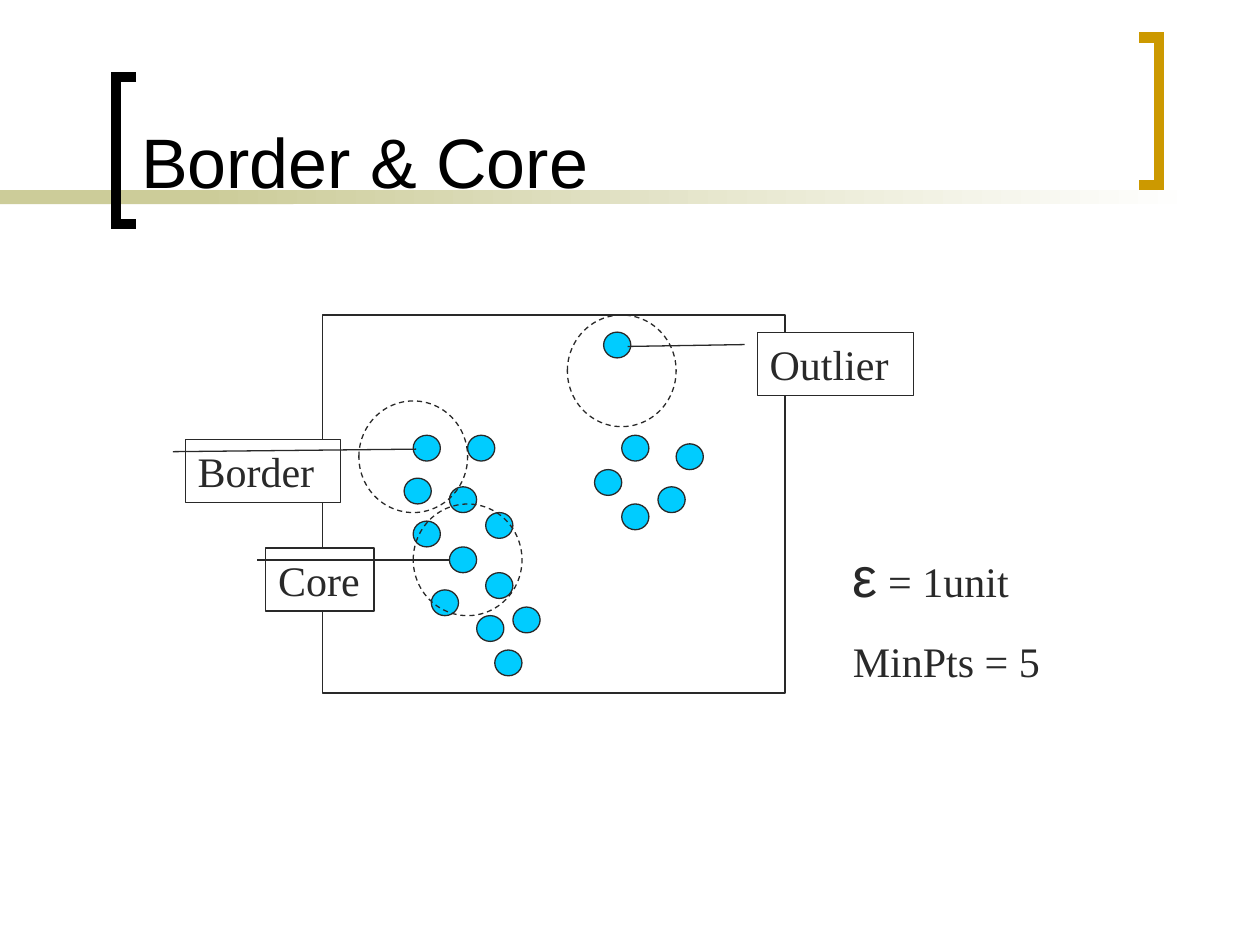
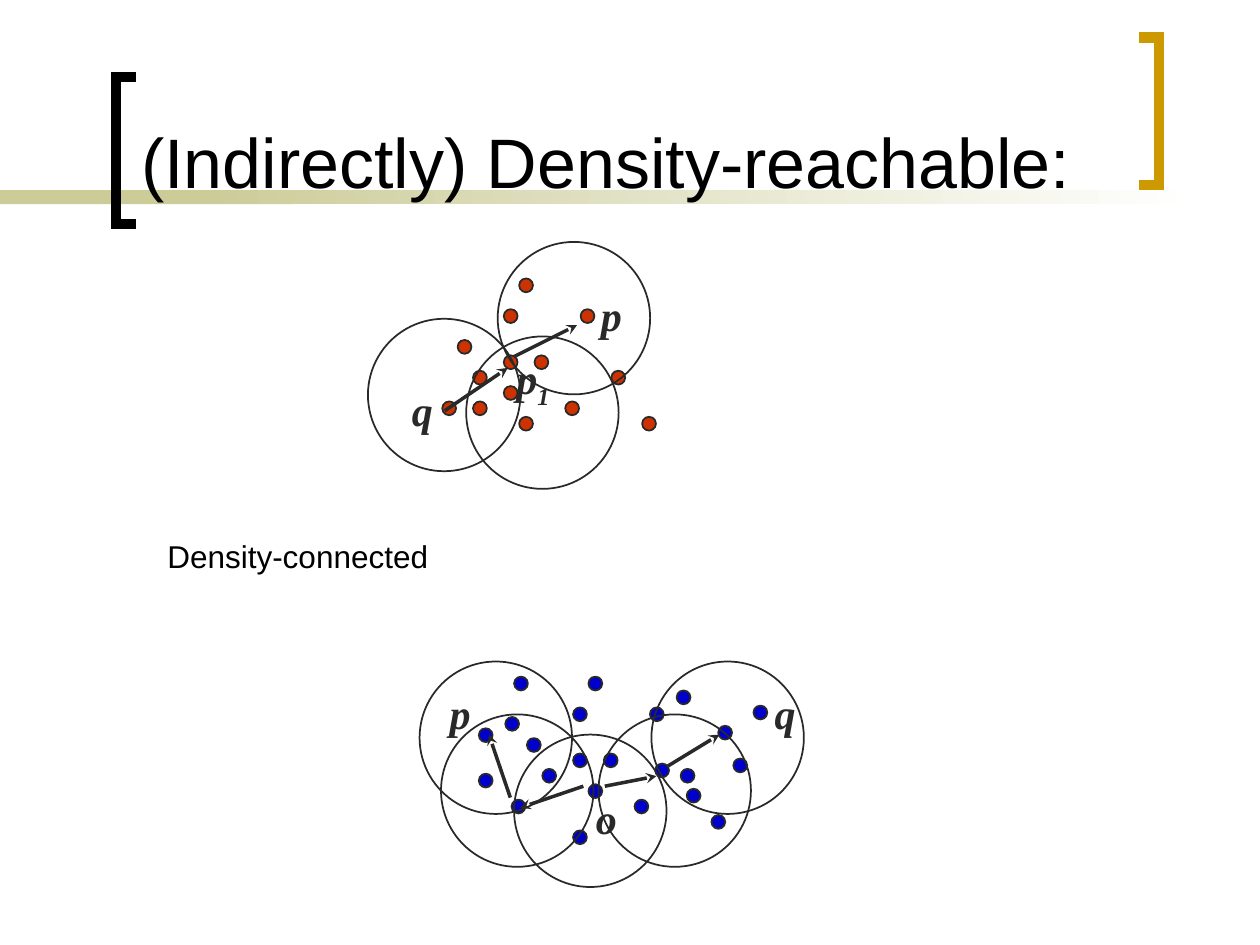
"""Builds two slides on density clustering: border and core points, then density-reachable points."""
from dataclasses import dataclass
from typing import Any, Optional

import pptx
import pptx.dml.color
import pptx.enum.dml
import pptx.enum.shapes
import pptx.enum.text
import pptx.oxml.ns
import pptx.oxml.xmlchemy
import pptx.util

RGBColor = pptx.dml.color.RGBColor
Kind = pptx.enum.shapes.MSO_SHAPE
Anchor = pptx.enum.text.MSO_ANCHOR
Fit = pptx.enum.text.MSO_AUTO_SIZE
Align = pptx.enum.text.PP_ALIGN

BLACK = RGBColor(0x00, 0x00, 0x00)
WHITE = RGBColor(0xFF, 0xFF, 0xFF)
INK = RGBColor(0x29, 0x29, 0x29)
SAND = RGBColor(0xCC, 0xCC, 0x99)
GOLD = RGBColor(0xCC, 0x99, 0x00)
CYAN = RGBColor(0x00, 0xCC, 0xFF)
RED = RGBColor(0xCC, 0x33, 0x00)
BLUE = RGBColor(0x00, 0x00, 0xCC)

SANS, SERIF = "Arial", "Times New Roman"
SLIDE_WIDTH, SLIDE_HEIGHT = pptx.util.Inches(10), pptx.util.Inches(7.5)
COLUMN, ROW = SLIDE_WIDTH / 10, SLIDE_HEIGHT / 7.5

Point = tuple[float, float]


@dataclass(frozen=True)
class Area:
    """A rectangle in columns and rows of the slide."""
    left: float
    top: float
    width: float
    height: float

    def place(self) -> tuple[int, int, int, int]:
        """Gives left, top, width and height as slide lengths."""
        return (round(self.left * COLUMN), round(self.top * ROW),
                round(self.width * COLUMN), round(self.height * ROW))


@dataclass(frozen=True)
class Lattice:
    """A fine grid on which points are laid out."""
    left: float
    top: float
    step_x: float
    step_y: float

    def area(self, column: float, row: float, width: float, height: float) -> Area:
        """Gives the area of a block of lattice cells."""
        return Area(*self.point(column, row), width * self.step_x, height * self.step_y)

    def point(self, column: float, row: float) -> Point:
        """Gives the corner of a lattice cell."""
        return self.left + column * self.step_x, self.top + row * self.step_y


@dataclass(frozen=True)
class Span:
    """A stretch of text in one format."""
    text: str
    size: float = 24
    font: str = SERIF
    strong: bool = False
    baseline: int = 0
    colour: RGBColor = INK


@dataclass(frozen=True)
class Callout:
    """A label with a leader line that ends at a share of its own size."""
    text: str
    area: Area
    end_y: float
    end_x: float


@dataclass(frozen=True)
class Cluster:
    """Points, their neighbourhoods, the arrows between them and their names."""
    colour: RGBColor
    points: list[Point]
    circles: list[Point]
    arrows: list[tuple[Point, Point]]
    names: list[tuple[str, Point]]


FRAME = Area(2.56, 2.5, 3.67, 3)
FRAME_LATTICE = Lattice(FRAME.left, FRAME.top, FRAME.width / 51, FRAME.height / 44)
SCATTER = [(10, 14), (9, 19), (14, 20), (16, 14), (18, 23), (10, 24), (14, 27),
           (12, 32), (17, 35), (19, 39), (18, 30), (21, 34), (31, 2), (33, 14),
           (30, 18), (37, 20), (39, 15), (33, 22)]
NEIGHBOURHOODS = [(4, 10), (10, 22), (27, 0)]
CALLOUTS = [Callout("Core", Area(2.11, 4.35, 0.86, 0.5), 0.19, 1.69),
            Callout("Border", Area(1.47, 3.49, 1.23, 0.5), 0.15, 1.49),
            Callout("Outlier", Area(6.01, 2.64, 1.24, 0.5), 0.22, -0.83)]

DOT, CIRCLE, STEP = 0.11, 1.21, 0.122
RED_LATTICE = Lattice(3.51, 2.21, STEP, STEP)
BLUE_LATTICE = Lattice(4.06, 5.37, STEP, STEP)
REACHABLE = Cluster(
    RED,
    [RED_LATTICE.point(*cell) for cell in (
        (1, 4), (4, 5), (4, 2), (0, 8), (2, 6), (2, 8), (5, 9),
        (5, 0), (11, 6), (9, 2), (4, 7), (6, 5), (8, 8), (13, 9))],
    [(3.7, 2.67), (2.92, 2.53), (3.95, 1.92)],
    [((4.08, 2.83), (4.58, 2.58)), ((3.53, 3.26), (4.03, 2.92))],
    [("p", (4.67, 2.25)), ("q", (3.17, 3))])
CONNECTED = Cluster(
    BLUE,
    [BLUE_LATTICE.point(*cell) for cell in (
        (1, 4), (4, 5), (4, 2), (0, 8), (2, 6), (4, 10), (5, 7),
        (5, 0), (11, 6), (9, 2), (6, 5), (8, 8), (13, 9))]
    + [(3.8, 6.14), (5.82, 6.02), (5.2, 6.06), (5.45, 6.26), (5.98, 5.6),
       (5.37, 5.48), (5.7, 5.76), (4.01, 5.69), (3.8, 5.78), (4.08, 5.37)],
    [(3.5, 5.67), (4.08, 5.83), (4.75, 5.67), (5.17, 5.25), (3.33, 5.25)],
    [((4.63, 6.24), (4.13, 6.41)), ((4.8, 6.24), (5.21, 6.16)),
     ((4.05, 6.33), (3.88, 5.83)), ((5.3, 6.08), (5.71, 5.83))],
    [("p", (3.47, 5.41)), ("q", (6.05, 5.41)), ("o", (4.63, 6.24))])


def set_all(target: Any, values: dict[str, Any]) -> None:
    """Sets each named attribute of the target."""
    for name, value in values.items():
        setattr(target, name, value)


def add_line_part(shape: Any, tag: str, **values: str) -> None:
    """Appends a part such as a join or an arrowhead to the shape's line."""
    line = shape.element.spPr.find(pptx.oxml.ns.qn("a:ln"))
    part = pptx.oxml.xmlchemy.OxmlElement(tag)
    for name, value in values.items():
        part.set(name, value)
    line.append(part)


def style(shape: Any, fill: Optional[RGBColor], line: Optional[RGBColor],
          weight: float = 0.75) -> None:
    """Gives a shape a flat fill and line without shadow."""
    shape.shadow.inherit = False
    if fill is None:
        shape.fill.background()
    else:
        shape.fill.solid()
        shape.fill.fore_color.rgb = fill
    if line is None:
        shape.line.fill.background()
    else:
        shape.line.color.rgb = line
        shape.line.width = pptx.util.Pt(weight)


def draw(page: Any, kind: Any, area: Area, fill: Optional[RGBColor] = None,
         line: Optional[RGBColor] = INK, weight: float = 0.75) -> Any:
    """Draws a preset shape."""
    shape = page.shapes.add_shape(kind, *area.place())
    style(shape, fill, line, weight)
    return shape


def write(box: Any, paragraphs: list[list[Span]], before: float = 0,
          anchor: Any = Anchor.TOP, fit: Any = Fit.SHAPE_TO_FIT_TEXT,
          wrap: bool = True) -> None:
    """Fills a text frame with formatted paragraphs."""
    frame = box.text_frame
    set_all(frame, {"word_wrap": wrap, "auto_size": fit, "vertical_anchor": anchor})
    for number, spans in enumerate(paragraphs):
        para = frame.add_paragraph() if number else frame.paragraphs[0]
        set_all(para, {"alignment": Align.LEFT, "space_before": pptx.util.Pt(before)})
        for span in spans:
            run = para.add_run()
            run.text = span.text
            set_all(run.font, {"name": span.font, "size": pptx.util.Pt(span.size),
                               "bold": span.strong, "italic": span.strong})
            run.font.color.rgb = span.colour
            if span.baseline:
                run.font._element.set("baseline", str(span.baseline * 1000))


def add_text(page: Any, area: Area, paragraphs: list[list[Span]],
             before: float = 15, wrap: bool = True) -> None:
    """Adds a text box."""
    write(page.shapes.add_textbox(*area.place()), paragraphs, before, wrap=wrap)


def add_bracket(page: Any, spine: float, tip: float, top: float, colour: RGBColor) -> Any:
    """Draws a square bracket that opens from its spine towards its tip."""
    bottom = top + 1.17
    corners = [(round(x * COLUMN), round(y * ROW)) for x, y in
               ((tip, top), (spine, top), (spine, bottom), (tip, bottom))]
    builder = page.shapes.build_freeform(*corners[0])
    builder.add_line_segments(corners[1:], close=False)
    bracket = builder.convert_to_shape()
    style(bracket, None, colour, 6)
    add_line_part(bracket, "a:miter", lim="800000")
    return bracket


def decorate(layout: Any, page: Any) -> None:
    """Draws the band and brackets and moves them to the shared layout."""
    band = draw(page, Kind.RECTANGLE, Area(0, 1.51, 2.33, 0.11), SAND, None)
    fade = draw(page, Kind.RECTANGLE, Area(1.58, 1.51, 7.92, 0.11), SAND, None)
    fade.fill.gradient()
    fade.fill.gradient_angle = 0
    for stop, colour, position in zip(fade.fill.gradient_stops, (SAND, WHITE), (0, 1)):
        stop.color.rgb = colour
        stop.position = position
    brackets = [add_bracket(page, 0.92, 1.08, 0.61, BLACK),
                add_bracket(page, 9.2, 9.04, 0.3, GOLD)]
    for piece in [band, fade, *brackets]:
        layout.shapes.element.append(piece.element)


def add_page(deck: Any, layout: Any, title: str) -> Any:
    """Adds a slide with its title."""
    page = deck.slides.add_slide(layout)
    box = page.shapes.title
    left, top, width, height = Area(1.02, 0.11, 7.83, 1.55).place()
    set_all(box, {"left": left, "top": top, "width": width, "height": height})
    write(box, [[Span(title, 40, SANS, colour=BLACK)]], anchor=Anchor.BOTTOM, fit=Fit.NONE)
    return page


def add_arrow(page: Any, start: Point, end: Point) -> None:
    """Draws a straight arrow."""
    ends = [round(value) for x, y in (start, end) for value in (x * COLUMN, y * ROW)]
    arrow = page.shapes.add_connector(pptx.enum.shapes.MSO_CONNECTOR.STRAIGHT, *ends)
    arrow.line.color.rgb = INK
    arrow.line.width = pptx.util.Pt(2)
    add_line_part(arrow, "a:tailEnd", type="stealth")
    arrow.element.spPr.append(pptx.oxml.xmlchemy.OxmlElement("a:effectLst"))


def add_cluster(page: Any, cluster: Cluster) -> None:
    """Draws a cluster of points."""
    for left, top in cluster.points:
        draw(page, Kind.OVAL, Area(left, top, DOT, DOT), cluster.colour, weight=1)
    for left, top in cluster.circles:
        draw(page, Kind.OVAL, Area(left, top, CIRCLE, CIRCLE), weight=1)
    for start, end in cluster.arrows:
        add_arrow(page, start, end)
    for name, (left, top) in cluster.names:
        add_text(page, Area(left, top, 0.42, 0.5), [[Span(name, strong=True)]])


def fill_border_page(page: Any) -> None:
    """Draws border, core and outlier points in a frame."""
    for cell in SCATTER:
        draw(page, Kind.OVAL, FRAME_LATTICE.area(*cell, 3, 3), CYAN)
    draw(page, Kind.RECTANGLE, FRAME)
    for cell in NEIGHBOURHOODS:
        circle = draw(page, Kind.OVAL, FRAME_LATTICE.area(*cell, 12, 13))
        circle.line.dash_style = pptx.enum.dml.MSO_LINE.DASH
    for callout in CALLOUTS:
        label = draw(page, Kind.LINE_CALLOUT_1, callout.area, WHITE)
        for number, share in enumerate((0.19, -0.08, callout.end_y, callout.end_x)):
            label.adjustments[number] = share
        write(label, [[Span(callout.text)]])
    add_text(page, Area(6.67, 4.25, 1.8, 1.24),
             [[Span("ε", 32, SANS), Span(" = 1unit")], [Span("MinPts = 5")]])


def fill_reachable_page(page: Any) -> None:
    """Draws the density-reachable and density-connected clusters."""
    for cluster in (REACHABLE, CONNECTED):
        add_cluster(page, cluster)
    add_text(page, Area(4, 2.75, 0.67, 0.56),
             [[Span("p", strong=True), Span("1", strong=True, baseline=-25)]])
    add_text(page, Area(1.23, 4.21, 2.27, 0.4),
             [[Span("Density-connected", 18, SANS, colour=BLACK)]], before=0, wrap=False)


def main() -> None:
    """Builds and saves the deck."""
    deck = pptx.Presentation()
    set_all(deck, {"slide_width": SLIDE_WIDTH, "slide_height": SLIDE_HEIGHT})
    layout = deck.slide_layouts.get_by_name("Title Only")
    border_page = add_page(deck, layout, "Border & Core")
    decorate(layout, border_page)
    fill_border_page(border_page)
    fill_reachable_page(add_page(deck, layout, "(Indirectly) Density-reachable:"))
    deck.save("out.pptx")


if __name__ == "__main__":
    main()
